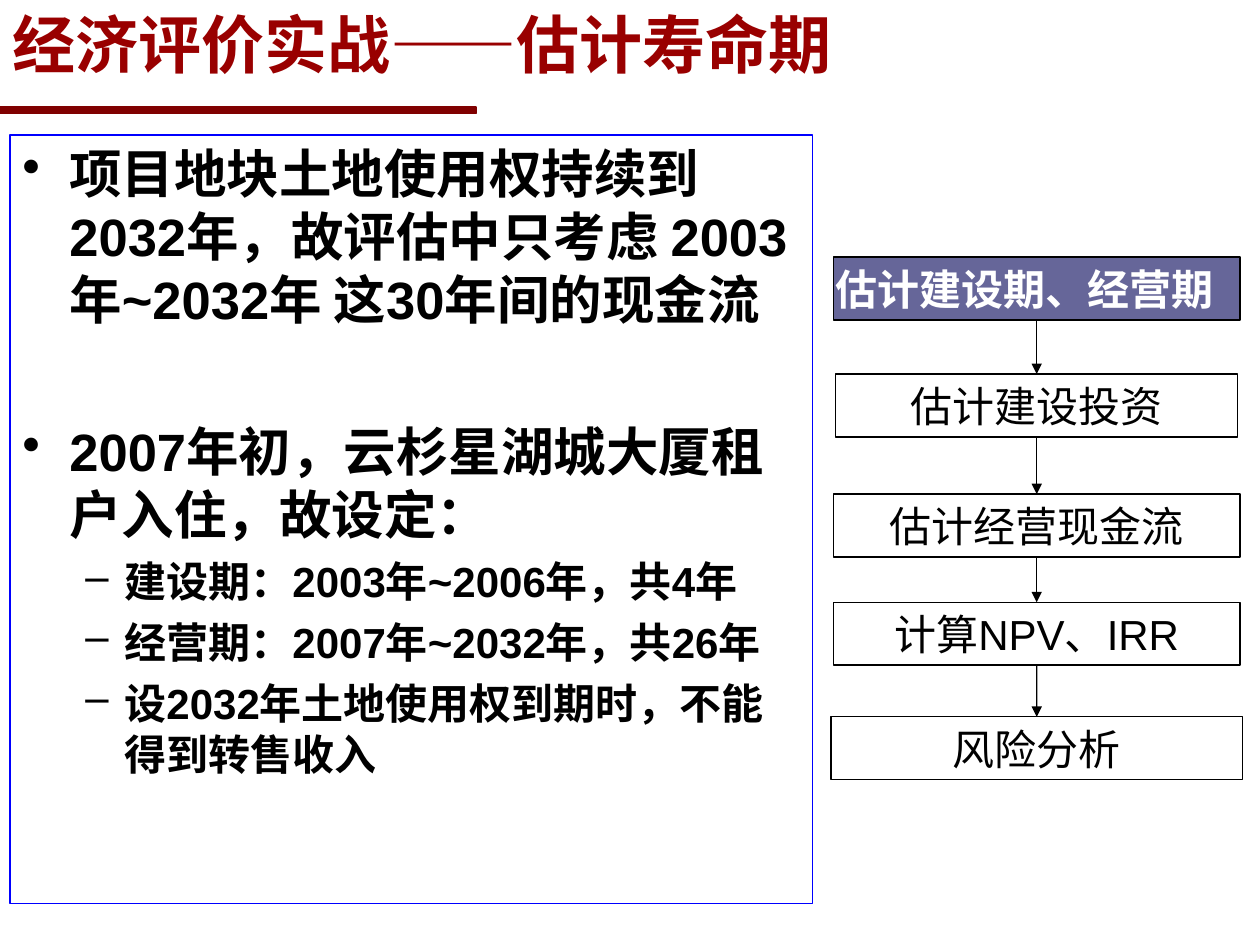
from itertools import pairwise

from lxml.etree import SubElement
from pptx import Presentation
from pptx.dml.color import RGBColor
from pptx.enum.shapes import MSO_CONNECTOR, MSO_SHAPE
from pptx.enum.text import MSO_ANCHOR, PP_ALIGN
from pptx.oxml.ns import qn
from pptx.util import Cm, Pt

COLORS = {
    "title": "990000", "rule": "800000", "frame": "0000FF",
    "active": "666699", "black": "000000", "white": "FFFFFF",
}
MID = 20.9  # centre of the flow chart
STEPS = [  # text, top, width
    ("估计建设期、经营期", 5.18, 8.2),
    ("估计建设投资", 7.54, 8.1),
    ("估计经营现金流", 9.96, 8.2),
    ("计算NPV、IRR", 12.14, 8.2),
    ("风险分析", 14.45, 8.3),
]
POINTS = [  # level, space before, text
    (0, 0, "项目地块土地使用权持续到2032年，故评估中只考虑 2003年~2032年 这30年间的现金流"),
    (0, 51, "2007年初，云杉星湖城大厦租户入住，故设定："),
    (1, 6, "建设期：2003年~2006年，共4年"),
    (1, 6, "经营期：2007年~2032年，共26年"),
    (1, 6, "设2032年土地使用权到期时，不能得到转售收入"),
]
LEVELS = [("•", 0.95, 0.95, 30), ("–", 2.06, 0.79, 24)]  # mark, indent, hang, size


def color(name):
    return RGBColor.from_string(COLORS[name])


def add_box(slide, left, top, width, height, fill=None, line=None):
    box = slide.shapes.add_shape(
        MSO_SHAPE.RECTANGLE, Cm(left), Cm(top), Cm(width), Cm(height))
    box.shadow.inherit = False
    if fill:
        box.fill.solid()
        box.fill.fore_color.rgb = color(fill)
    else:
        box.fill.background()
    if line:
        box.line.color.rgb = color(line)
        box.line.width = Pt(0.75)
    else:
        box.line.fill.background()
    box.text_frame.word_wrap = True
    return box


def style(para, size, tint, bold=False, align=PP_ALIGN.LEFT):
    para.alignment = align
    font = para.font
    font.name, font.size, font.bold = "Arial", Pt(size), bold
    font.color.rgb = color(tint)


def add_title(slide):
    add_box(slide, -0.03, 2.16, 9.63, 0.13, "rule", "rule")
    frame = add_box(slide, 0, 0.03, 22.7, 1.7, "white").text_frame
    frame.text = "经济评价实战——估计寿命期"
    style(frame.paragraphs[0], 36, "title", True)


def add_points(slide):
    frame = add_box(slide, 0.2, 2.72, 16.18, 15.49, "white", "frame").text_frame
    frame.vertical_anchor = MSO_ANCHOR.TOP
    for i, (level, gap, text) in enumerate(POINTS):
        para = frame.add_paragraph() if i else frame.paragraphs[0]
        para.text = text
        para.level = level
        mark, indent, hang, size = LEVELS[level]
        if gap:
            para.space_before = Pt(gap)
        props = para._p.get_or_add_pPr()
        props.set("marL", str(Cm(indent)))
        props.set("indent", str(-Cm(hang)))
        SubElement(props, qn("a:buChar")).set("char", mark)
        style(para, size, "black", True)


def add_step(slide, text, top, width, active):
    box = add_box(slide, MID - width / 2, top, width, 1.27,
                  "active" if active else None, "black")
    frame = box.text_frame
    frame.text = text
    if active:
        frame.margin_left = frame.margin_right = Cm(0.05)
        style(frame.paragraphs[0], 24, "white", True)
    else:
        style(frame.paragraphs[0], 24, "black", align=PP_ALIGN.CENTER)
    return box


def add_arrow(slide, start, end):
    """Join the bottom of one step to the top of the next."""
    arrow = slide.shapes.add_connector(MSO_CONNECTOR.STRAIGHT, 0, 0, 0, 0)
    arrow.begin_connect(start, 2)
    arrow.end_connect(end, 0)
    arrow.line.color.rgb = color("black")
    arrow.line.width = Pt(0.75)
    SubElement(arrow.line._get_or_add_ln(), qn("a:tailEnd")).set("type", "triangle")
    SubElement(arrow._element.spPr, qn("a:effectLst"))


def main():
    deck = Presentation()
    deck.slide_width, deck.slide_height = Cm(25.4), Cm(19.05)
    slide = deck.slides.add_slide(deck.slide_layouts[6])
    add_title(slide)
    add_points(slide)
    boxes = [add_step(slide, *step, active=i == 0) for i, step in enumerate(STEPS)]
    for start, end in pairwise(boxes):
        add_arrow(slide, start, end)
    deck.save("out.pptx")


if __name__ == "__main__":
    main()
